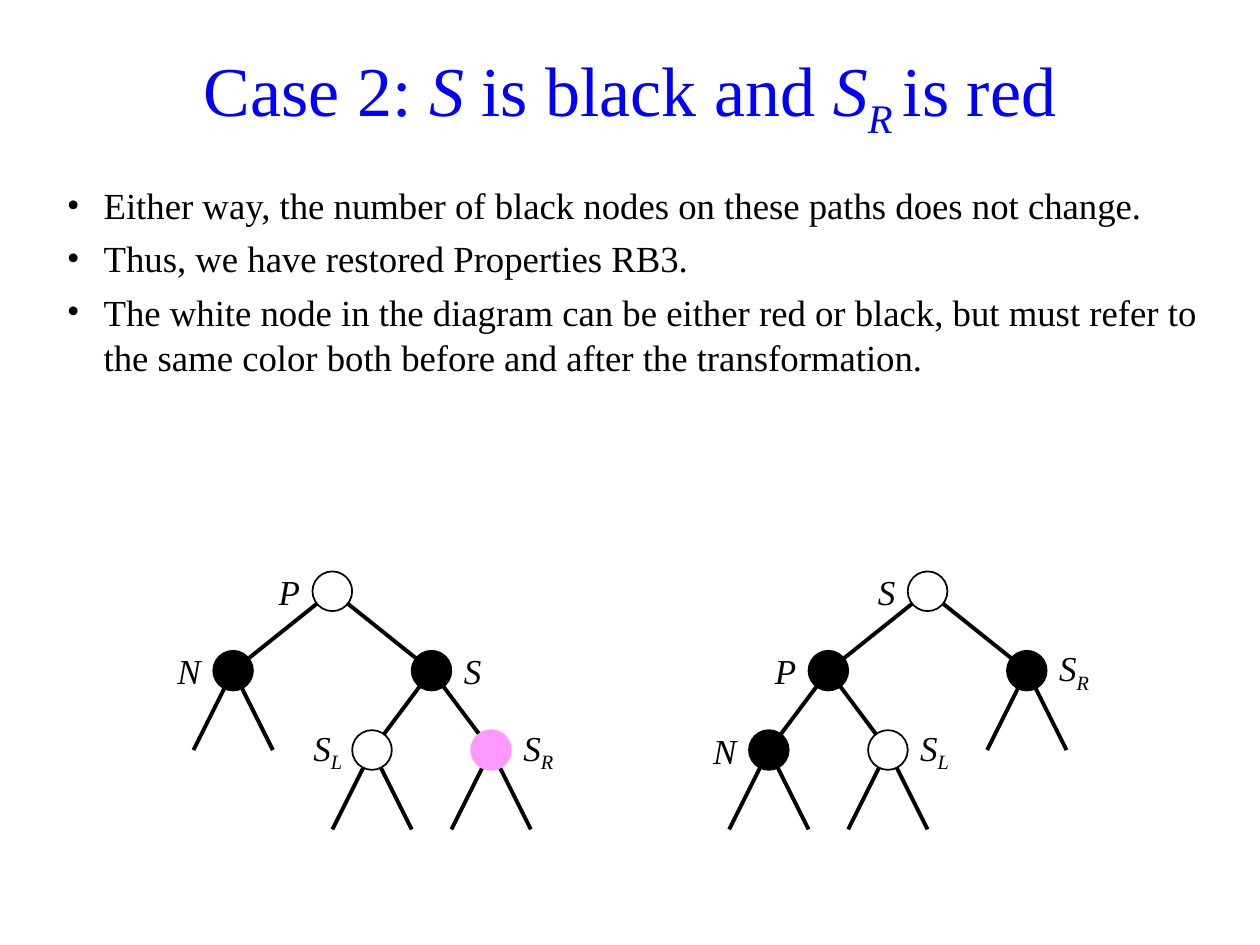
from collections import namedtuple

from lxml.etree import SubElement
from pptx import Presentation
from pptx.dml.color import RGBColor
from pptx.enum.shapes import MSO_CONNECTOR, MSO_SHAPE
from pptx.enum.text import MSO_ANCHOR, PP_ALIGN
from pptx.oxml.ns import qn
from pptx.util import Cm, Pt

FONT = "Times New Roman"
RADIUS = 0.4
LEVEL = 1.6
LABEL_WIDTH = 1.2
Node = namedtuple("Node", "label fill side offset level parent stubs")

BULLETS = (
    "Either way, the number of black nodes on these paths does not change.",
    "Thus, we have restored Properties RB3.",
    "The white node in the diagram can be either red or black, but must refer to "
    "the same color both before and after the transformation.",
)
BEFORE = (
    Node(("S", "R"), "FF99FF", "right", 3.2, 2, 3, True),
    Node(("S", "L"), "FFFFFF", "left", 0.8, 2, 3, True),
    Node(("N",), "000000", "left", -2, 1, 4, True),
    Node(("S",), "000000", "right", 2, 1, 4, False),
    Node(("P",), "FFFFFF", "left", 0, 0, None, False),
)
AFTER = (
    Node(("N",), "000000", "left", -3.2, 2, 3, True),
    Node(("S", "L"), "FFFFFF", "right", -0.8, 2, 3, True),
    Node(("S", "R"), "000000", "right", 2, 1, 4, True),
    Node(("P",), "000000", "left", -2, 1, 4, False),
    Node(("S",), "FFFFFF", "left", 0, 0, None, False),
)


def color(value):
    """Return the colour of a hex string."""
    return RGBColor.from_string(value)


def set_values(target, values):
    """Set the attributes of an object from a dict."""
    for name, value in values.items():
        setattr(target, name, value)


def add_run(paragraph, text, size, hex_color, italic=False, subscript=False):
    """Add a formatted run to a paragraph."""
    run = paragraph.add_run()
    run.text = text
    set_values(run.font, {"name": FONT, "size": Pt(size), "italic": italic})
    run.font.color.rgb = color(hex_color)
    if subscript:
        run._r.get_or_add_rPr().set("baseline", "-25000")


def add_title(slide, left, top, width, height):
    """Fill and place the title placeholder."""
    title = slide.shapes.title
    set_values(title, {"left": Cm(left), "top": Cm(top),
                       "width": Cm(width), "height": Cm(height)})
    set_values(title.text_frame, {"vertical_anchor": MSO_ANCHOR.MIDDLE, "word_wrap": True})
    paragraph = title.text_frame.paragraphs[0]
    paragraph.alignment = PP_ALIGN.CENTER
    for text, italic, subscript in (("Case 2: ", False, False), ("S", True, False),
                                    (" is black and ", False, False), ("S", True, False),
                                    ("R ", True, True), ("is red", False, False)):
        add_run(paragraph, text, 40, "0000FF", italic, subscript)


def add_bullets(slide, left, top, width, height):
    """Add the bulleted statements."""
    frame = slide.shapes.add_textbox(Cm(left), Cm(top), Cm(width), Cm(height)).text_frame
    frame.word_wrap = True
    for index, text in enumerate(BULLETS):
        paragraph = frame.add_paragraph() if index else frame.paragraphs[0]
        set_values(paragraph, {"space_before": Pt(4.2), "line_spacing": 1.04})
        add_run(paragraph, text, 21, "000000")
        properties = paragraph._p.get_or_add_pPr()
        properties.set("marL", str(Cm(0.74)))
        properties.set("indent", str(-Cm(0.74)))
        SubElement(properties, qn("a:buFont"), typeface=FONT)
        SubElement(properties, qn("a:buChar"), char="\u2022")


def add_edge(slide, start, end):
    """Draw a straight edge between two points."""
    edge = slide.shapes.add_connector(MSO_CONNECTOR.STRAIGHT, *map(Cm, start + end))
    edge.line.width = Pt(2.25)
    edge.line.color.rgb = color("000000")
    SubElement(edge._element.spPr, qn("a:effectLst"))


def add_node(slide, node, x, y):
    """Draw a circle with its label beside it."""
    circle = slide.shapes.add_shape(MSO_SHAPE.OVAL, Cm(x - RADIUS), Cm(y - RADIUS),
                                    Cm(2 * RADIUS), Cm(2 * RADIUS))
    circle.shadow.inherit = False
    circle.fill.solid()
    circle.fill.fore_color.rgb = color(node.fill)
    circle.line.color.rgb = color("000000" if node.fill == "FFFFFF" else node.fill)
    circle.line.width = Pt(1)

    on_left = node.side == "left"
    left = x - RADIUS - LABEL_WIDTH if on_left else x + RADIUS
    label = slide.shapes.add_textbox(Cm(left), Cm(y - LEVEL / 2), Cm(LABEL_WIDTH), Cm(LEVEL))
    set_values(label.text_frame, {"word_wrap": True, "vertical_anchor": MSO_ANCHOR.MIDDLE,
                                  "margin_right": Cm(0.2 if "L" in node.label else 0.25)})
    paragraph = label.text_frame.paragraphs[0]
    paragraph.alignment = PP_ALIGN.RIGHT if on_left else PP_ALIGN.LEFT
    for index, text in enumerate(node.label):
        add_run(paragraph, text, 20, "000000", True, index > 0)


def add_tree(slide, nodes, root_x, root_y):
    """Draw a tree around its root, with the edges behind the nodes."""
    points = [(root_x + node.offset, root_y + node.level * LEVEL) for node in nodes]
    for node, (x, y) in zip(nodes, points):
        if node.parent is not None:
            add_edge(slide, points[node.parent], (x, y))
        if node.stubs:
            for shift in (-0.8, 0.8):
                add_edge(slide, (x, y), (x + shift, y + LEVEL))
    for node, point in zip(nodes, points):
        add_node(slide, node, *point)


def main():
    """Build and save the presentation."""
    presentation = Presentation()
    set_values(presentation, {"slide_width": Cm(25.4), "slide_height": Cm(19.05)})
    slide = presentation.slides.add_slide(presentation.slide_layouts[5])
    add_title(slide, 1.1, 0.7, 23.2, 2.4)
    add_bullets(slide, 1.1, 3.53, 23.6, 4)
    for nodes, root_x in ((BEFORE, 6.7), (AFTER, 18.7)):
        add_tree(slide, nodes, root_x, 11.92)
    presentation.save("out.pptx")


main()
